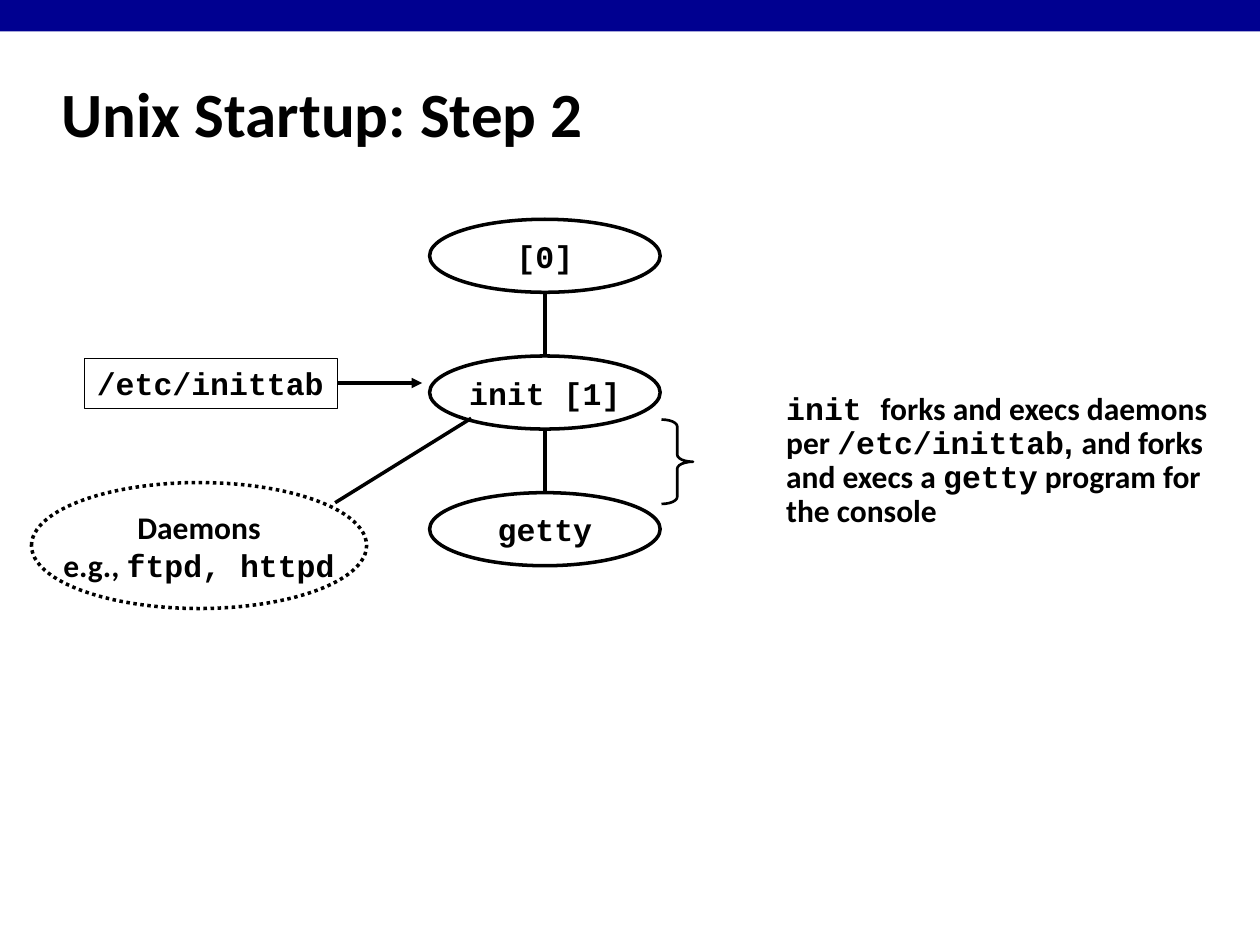
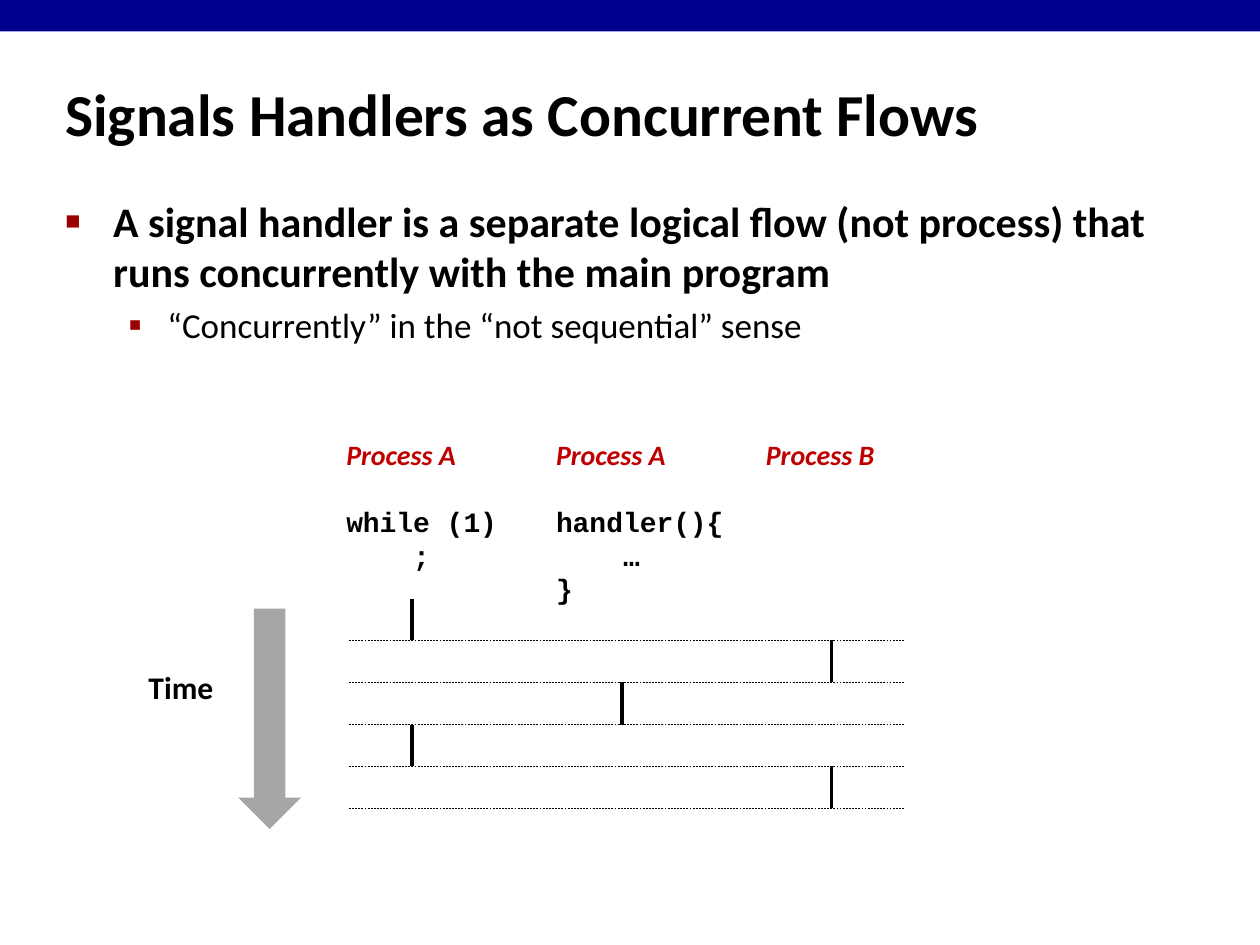
from lxml import etree
from pptx import Presentation
from pptx import util as u
from pptx.dml.color import RGBColor
from pptx.enum import dml, shapes, text
from pptx.oxml import ns

COLOURS = {
    "band": "000090",
    "ink": "000000",
    "paper": "FFFFFF",
    "bullet": "990000",
    "process": "C00000",
    "time": "A6A6A6",
}
SANS, MONO = "Calibri", "Courier New"

deck = Presentation()
deck.slide_width, deck.slide_height = u.Inches(10), u.Inches(7.5)
# Every area and point below is in columns and rows of this grid.
COLUMN, ROW = deck.slide_width / 100, deck.slide_height / 75


def write(page, area, lines, kind=None, fill=None, outline=None, dash=None,
          size=18, font=SANS, bold=True, italic=False, colour="ink",
          align=text.PP_ALIGN.LEFT, anchor=text.MSO_ANCHOR.TOP, wrap=False, inset=0.1):
    """Add a shape, or a text box if no kind is given.

    Each line is a list of (text, font) spans; a font of None means the default.
    """
    column, row, columns, rows = area
    frame = [round(n) for n in (column * COLUMN, row * ROW, columns * COLUMN, rows * ROW)]
    if kind is None:
        box = page.shapes.add_textbox(*frame)
    else:
        box = page.shapes.add_shape(kind, *frame)
        box.shadow.inherit = False
        if fill:
            box.fill.solid()
            box.fill.fore_color.rgb = RGBColor.from_string(COLOURS[fill])
        else:
            box.fill.background()
        if outline:
            box.line.color.rgb = RGBColor.from_string(COLOURS["ink"])
            box.line.width = u.Pt(outline)
            box.line.dash_style = dash
        else:
            box.line.fill.background()
    body = box.text_frame
    body.word_wrap, body.vertical_anchor = wrap, anchor
    body.margin_left = body.margin_right = u.Inches(inset)
    body.margin_top = body.margin_bottom = u.Inches(0.05)
    for number, spans in enumerate(lines):
        para = body.add_paragraph() if number else body.paragraphs[0]
        para.alignment = align
        for words, face in spans:
            span = para.add_run()
            span.text = words
            span.font.name = face or font
            span.font.size = u.Pt(size)
            span.font.bold, span.font.italic = bold, italic
            span.font.color.rgb = RGBColor.from_string(COLOURS[colour])
    return box


def connect(page, start, end, width=2, dash=None):
    points = [round(n) for n in (start[0] * COLUMN, start[1] * ROW, end[0] * COLUMN, end[1] * ROW)]
    line = page.shapes.add_connector(shapes.MSO_CONNECTOR.STRAIGHT, *points)
    line.line.color.rgb = RGBColor.from_string(COLOURS["ink"])
    line.line.width = u.Pt(width)
    line.line.dash_style = dash
    etree.SubElement(line._element.spPr, ns.qn("a:effectLst"))
    return line


# Both pages: band and title
pages = []
for title, left, size in [("Unix Startup: Step 2", 3.9, 36),
                          ("Signals Handlers as Concurrent Flows", 4.2, 34)]:
    page = deck.slides.add_slide(deck.slide_layouts[6])
    write(page, (0, 0, 100, 2.5), [], kind=shapes.MSO_SHAPE.RECTANGLE, fill="band")
    write(page, (left, 4.8, 83, 8.3), [[(title, SANS)]], size=size,
          anchor=text.MSO_ANCHOR.MIDDLE, wrap=True)
    pages.append(page)
startup, signals = pages

# Startup: chain of processes
node_style = dict(kind=shapes.MSO_SHAPE.OVAL, fill="paper", outline=2,
                  align=text.PP_ALIGN.CENTER, anchor=text.MSO_ANCHOR.MIDDLE)
NODE_LEFT, NODE_TOP, NODE_WIDTH, NODE_HEIGHT, NODE_STEP = 34.1, 17.4, 18.3, 5.8, 10.85
NODE_MIDDLE = NODE_LEFT + NODE_WIDTH / 2
for level, name in enumerate(["[0]", "init [1]", "getty"]):
    top = NODE_TOP + level * NODE_STEP
    node = write(startup, (NODE_LEFT, top, NODE_WIDTH, NODE_HEIGHT), [[(name, MONO)]], **node_style)
    if level:
        link = connect(startup, (NODE_MIDDLE, top - NODE_STEP + NODE_HEIGHT), (NODE_MIDDLE, top))
        link.end_connect(node, 0)

connect(startup, (37.4, 33.2), (26.6, 39.9))
write(startup, (2.5, 38.3, 26.6, 10),
      [[("Daemons", SANS)], [("e.g., ", SANS), ("ftpd, httpd", MONO)]],
      dash=dml.MSO_LINE.ROUND_DOT, **node_style)

inittab = write(startup, (6.7, 28.4, 20.1, 4), [[("/etc/inittab", MONO)]],
                kind=shapes.MSO_SHAPE.RECTANGLE, outline=0.25)
arrow = connect(startup, (26.8, 30.4), (33.5, 30.4))
arrow.begin_connect(inittab, 3)
etree.SubElement(arrow.line._get_or_add_ln(), ns.qn("a:tailEnd"), type="triangle")

note = write(startup, (61.9, 30.7, 34.7, 11.8), [[
    ("init ", MONO), ("forks and execs daemons per ", SANS), ("/etc/inittab", MONO),
    (", ", "Arial"), ("and forks and execs a ", SANS), ("getty", MONO),
    (" program for the console", SANS)]], wrap=True, inset=0.05)
note.text_frame.paragraphs[0].line_spacing = 0.9
brace = write(startup, (52.5, 33.3, 2.5, 6.7), [], kind=shapes.MSO_SHAPE.RIGHT_BRACE, outline=1.5)
brace.adjustments[0] = 0.222

# Signals: bullets
points = write(signals, (4.2, 15, 90.9, 14.2), [
    [("A signal handler is a separate logical flow (not process) that "
      "runs concurrently with the main program", SANS)],
    [("“Concurrently” in the “not sequential” sense", SANS)]], size=24, wrap=True)
levels = [("■", 60, 0.38, 0.38), ("▪", 110, 0.81, 0.31)]
for para, (mark, share, margin, hang) in zip(points.text_frame.paragraphs, levels):
    props = para._p.get_or_add_pPr()
    props.set("marL", str(u.Inches(margin)))
    props.set("indent", str(-u.Inches(hang)))
    tint = etree.SubElement(props, ns.qn("a:buClr"))
    etree.SubElement(tint, ns.qn("a:srgbClr"), val=COLOURS["bullet"])
    etree.SubElement(props, ns.qn("a:buSzPct"), val=str(share * 1000))
    etree.SubElement(props, ns.qn("a:buFont"), typeface="Arial")
    etree.SubElement(props, ns.qn("a:buChar"), char=mark)
detail = points.text_frame.paragraphs[1]
detail.space_before = u.Pt(4)
detail.runs[0].font.size = u.Pt(20)
detail.runs[0].font.bold = False

# Signals: one lane for each flow
LANE_LEFT, LANE_STEP = 26.5, 16.65
lanes = [("Process A", ["while (1)", "    ;"], 14, 11.7),
         ("Process A", ["handler(){", "    …", "}"], 15.4, 14.4),
         ("Process B", [], 10.8, 3.7)]
for lane, (name, code, width, height) in enumerate(lanes):
    lines = [[(name, SANS)]] + [[(words, MONO)] for words in code]
    box = write(signals, (LANE_LEFT + lane * LANE_STEP, 34.2, width, height), lines, size=16)
    heading, *code_paras = box.text_frame.paragraphs
    heading.runs[0].font.italic = True
    heading.runs[0].font.color.rgb = RGBColor.from_string(COLOURS["process"])
    if code_paras:
        code_paras[0].space_before = u.Pt(19.5)

# Signals: which lane runs in each time slice
SLICE_TOP, SLICE = 47.5, 10 / 3
for turn, lane in enumerate([0, 2, 1, 0, 2]):
    column = 32.7 + lane * LANE_STEP
    top = SLICE_TOP + turn * SLICE
    connect(signals, (column, top), (column, top + SLICE))
    connect(signals, (27.7, top + SLICE), (71.8, top + SLICE), width=0.25, dash=dml.MSO_LINE.DASH)

write(signals, (10.8, 52.5, 8.9, 5), [[("Time", SANS)]], wrap=True)
write(signals, (18.9, 48.3, 5, 17.5), [], kind=shapes.MSO_SHAPE.DOWN_ARROW, fill="time")

deck.save("out.pptx")
